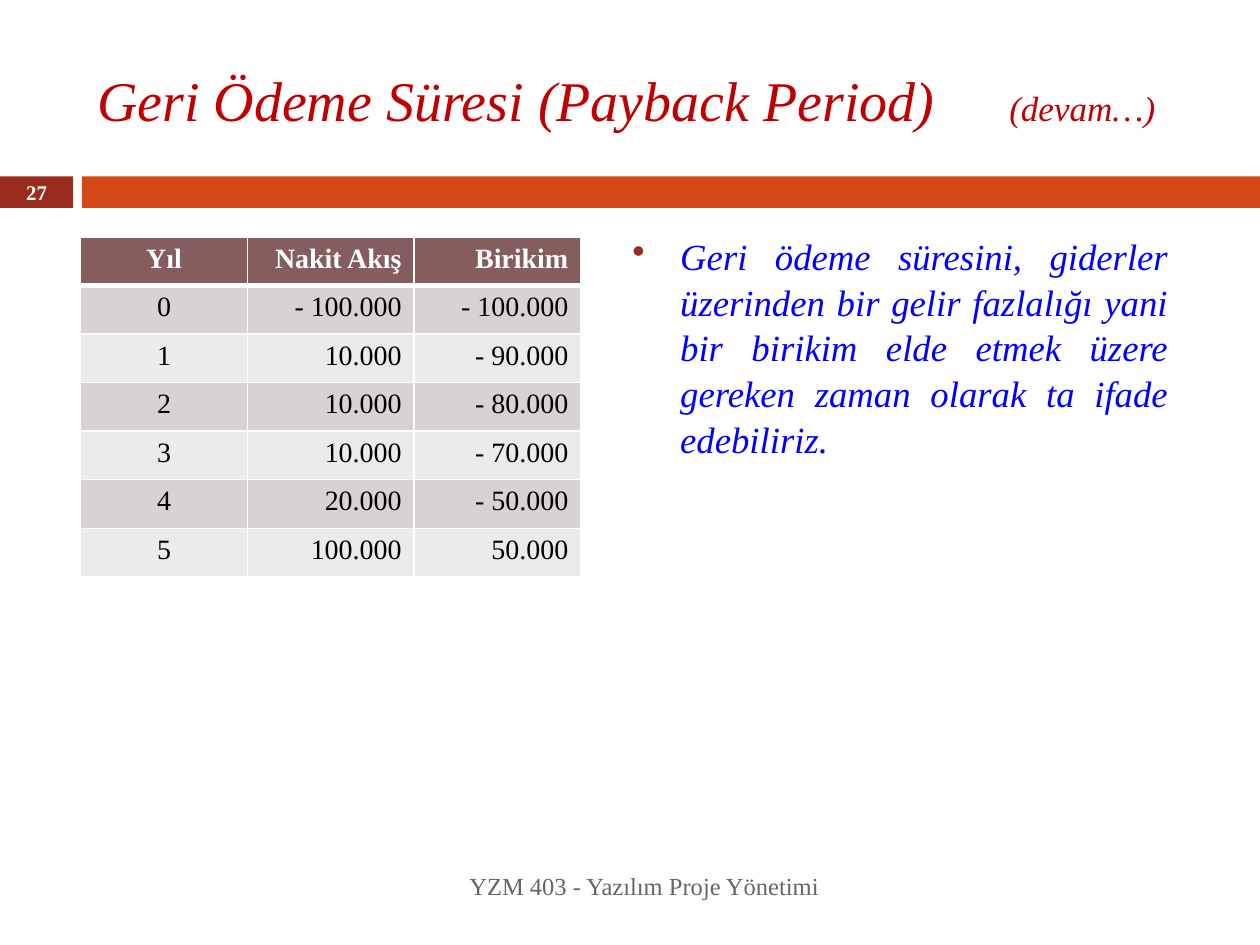
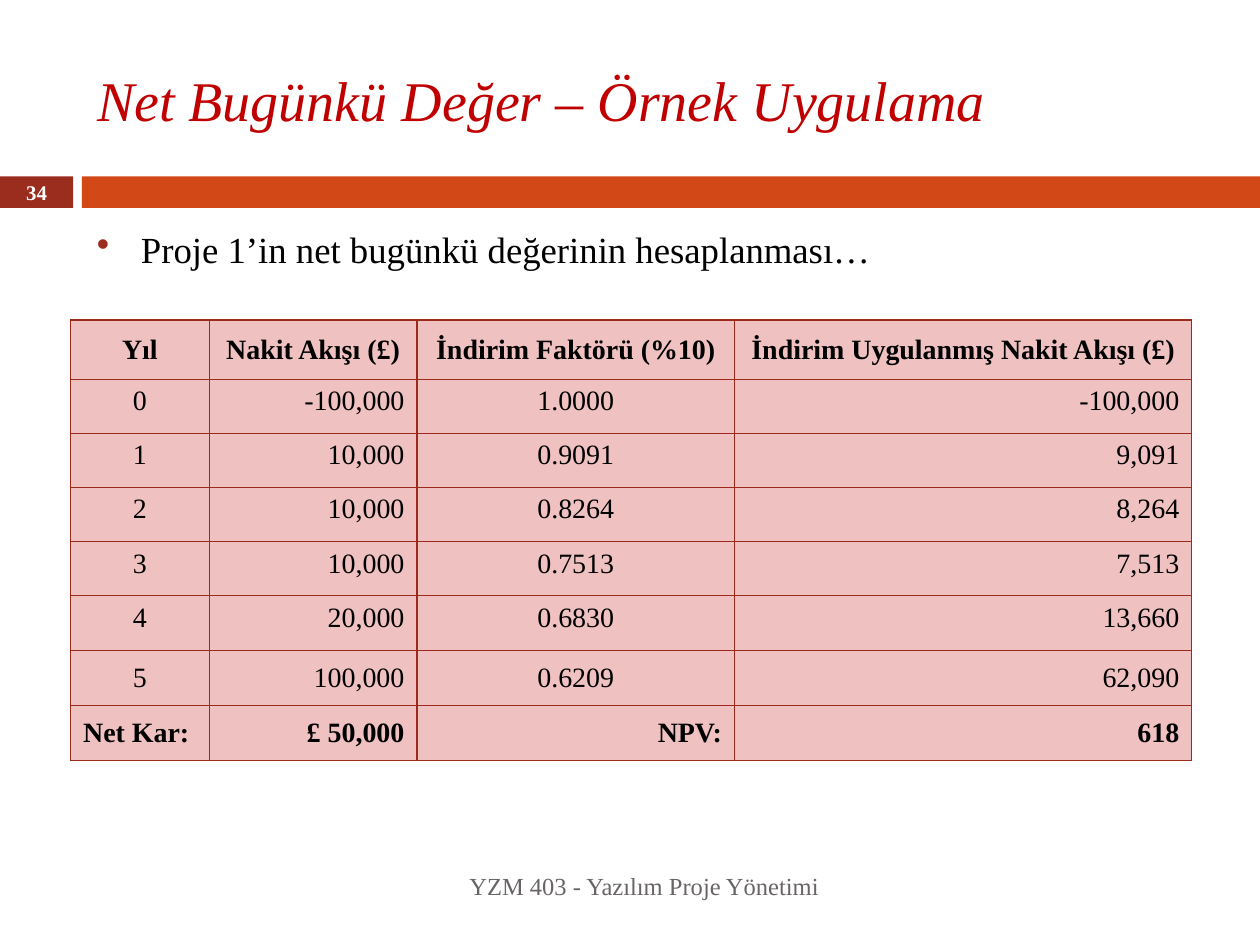
from lxml import etree
from pptx import Presentation
from pptx.dml.color import RGBColor
from pptx.enum.shapes import MSO_SHAPE
from pptx.enum.text import MSO_ANCHOR, PP_ALIGN
from pptx.oxml.ns import qn
from pptx.util import Inches, Pt

LEFT, CENTER, RIGHT, JUSTIFY = PP_ALIGN.LEFT, PP_ALIGN.CENTER, PP_ALIGN.RIGHT, PP_ALIGN.JUSTIFY
TOP, MIDDLE = MSO_ANCHOR.TOP, MSO_ANCHOR.MIDDLE
RECTANGLE = MSO_SHAPE.RECTANGLE
TITLE_ONLY = 5

FONT = "Times New Roman"
COURSE = "YZM 403 - Yazılım Proje Yönetimi"
COLORS = {
    "title": "C00000", "number_band": "9B2D1F", "band": "D34817",
    "footer": "696464", "white": "FFFFFF", "black": "000000", "blue": "0000FF",
    "header": "855D5D", "dark_row": "D9D2D2", "light_row": "EDEAEA",
    "pink": "EFC1C1", "grid": "9B2A1B",
}


class Deck:
    """Holds the presentation style and the slide being built."""

    def __init__(self):
        self.presentation = Presentation()
        self.presentation.slide_width = Inches(10)
        self.presentation.slide_height = Inches(7.5)
        self.slide = None

    def color(self, name):
        return RGBColor.from_string(COLORS[name])

    def style(self, font, size, color, bold=False, italic=False):
        font.name, font.size = FONT, Pt(size)
        font.bold, font.italic = bold, italic
        font.color.rgb = self.color(color)

    def band(self, left, width, color):
        band = self.slide.shapes.add_shape(
            RECTANGLE, Inches(left), Inches(1.4), Inches(width), Inches(0.25))
        band.shadow.inherit = False
        band.fill.solid()
        band.fill.fore_color.rgb = self.color(color)
        band.line.fill.background()

    def text(self, words, box, size, color, align, anchor=MIDDLE, **look):
        frame = self.slide.shapes.add_textbox(*map(Inches, box)).text_frame
        frame.word_wrap = True
        frame.vertical_anchor = anchor
        paragraph = frame.paragraphs[0]
        paragraph.text = words
        paragraph.alignment = align
        self.style(paragraph.font, size, color, **look)
        return paragraph

    def title(self, words, suffix):
        title = self.slide.shapes.title
        title.left, title.top, title.width, title.height = map(Inches, (0.67, 0.25, 8.92, 1.08))
        title.text_frame.vertical_anchor = MIDDLE
        paragraph = title.text_frame.paragraphs[0]
        paragraph.text = words
        paragraph.alignment = LEFT
        self.style(paragraph.font, 32, "title", italic=True)
        if suffix:
            tabs = etree.SubElement(paragraph._p.get_or_add_pPr(), qn("a:tabLst"))
            etree.SubElement(tabs, qn("a:tab"), pos=str(Inches(7.24)), algn="l")
            paragraph._p.pPr.insert(0, tabs)
            continuation = paragraph.add_run()
            continuation.text = "\t" + suffix
            continuation.font.size = Pt(20)

    def start(self, number, words, suffix=""):
        layout = self.presentation.slide_layouts[TITLE_ONLY]
        self.slide = self.presentation.slides.add_slide(layout)
        self.band(0, 0.58, "number_band")
        self.band(0.65, 9.35, "band")
        self.title(words, suffix)
        self.text(COURSE, (0.67, 6.83, 5.93, 0.4), 14, "footer", RIGHT)
        self.text(str(number), (0, 1.39, 0.58, 0.27), 11.9, "white", CENTER, bold=True)

    def bullet(self, words, box, color, indent, spacing=1.0, **look):
        paragraph = self.text(words, box, 21, color, JUSTIFY, TOP, **look)
        paragraph.space_before = Pt(2)
        paragraph.line_spacing = spacing
        properties = paragraph._p.get_or_add_pPr()
        properties.set("marL", str(Inches(indent)))
        properties.set("indent", str(-Inches(indent)))
        marker = etree.Element(qn("a:buClr"))
        etree.SubElement(marker, qn("a:srgbClr"), val=COLORS["number_band"])
        character = etree.Element(qn("a:buChar"), char="•")
        place = list(properties).index(properties.find(qn("a:defRPr")))
        properties.insert(place, marker)
        properties.insert(place + 1, character)

    def border(self, cell, side, color, width):
        line = etree.SubElement(cell._tc.get_or_add_tcPr(), qn(f"a:ln{side}"), w=str(Pt(width)))
        fill = etree.SubElement(line, qn("a:solidFill"))
        etree.SubElement(fill, qn("a:srgbClr"), val=COLORS[color])

    def table(self, rows, corner, widths, heights, aligns, look):
        left, top = map(Inches, corner)
        table = self.slide.shapes.add_table(
            len(rows), len(widths), left, top, Inches(sum(widths)), Inches(sum(heights))).table
        for column, width in zip(table.columns, widths):
            column.width = Inches(width)
        for row, height in zip(table.rows, heights):
            row.height = Inches(height)
        for r, values in enumerate(rows):
            for c, value in enumerate(values):
                cell = table.cell(r, c)
                cell_look = {"align": aligns[c], "anchor": TOP, "color": "black",
                             "bold": False, "widths": {}, **look(r, c)}
                for side in "LRTB":
                    self.border(cell, side, cell_look["line"],
                                cell_look["widths"].get(side, cell_look["width"]))
                cell.fill.solid()
                cell.fill.fore_color.rgb = self.color(cell_look["fill"])
                cell.vertical_anchor = cell_look["anchor"]
                paragraph = cell.text_frame.paragraphs[0]
                paragraph.text = value
                paragraph.alignment = cell_look["align"]
                self.style(paragraph.font, 16, cell_look["color"], bold=cell_look["bold"])


def payback_look(row, column):
    look = {"line": "white", "width": 1}
    if row == 0:
        return {**look, "fill": "header", "color": "white", "bold": True, "widths": {"B": 3}}
    look["fill"] = "dark_row" if row % 2 else "light_row"
    return {**look, "widths": {"T": 3}} if row == 1 else look


def present_value_look(row, column):
    look = {"line": "grid", "width": 0.75, "fill": "pink", "bold": row in (0, 7)}
    if row in (0, 6, 7):
        look["anchor"] = MIDDLE
    if row == 0:
        look["align"] = CENTER
    elif row == 7:
        look["align"] = RIGHT if column else LEFT
    return look


def main():
    deck = Deck()

    deck.start(27, "Geri Ödeme Süresi (Payback Period)", "(devam…)")
    deck.bullet(
        "Geri ödeme süresini, giderler üzerinden bir gelir fazlalığı yani bir birikim "
        "elde etmek üzere gereken zaman olarak ta ifade edebiliriz.",
        (4.92, 1.79, 4.45, 2.94), "blue", 0.38, 1.04, italic=True)
    payback = [
        ("Yıl", "Nakit Akış", "Birikim"),
        ("0", "- 100.000", "- 100.000"),
        ("1", "10.000", "- 90.000"),
        ("2", "10.000", "- 80.000"),
        ("3", "10.000", "- 70.000"),
        ("4", "20.000", "- 50.000"),
        ("5", "100.000", "50.000"),
    ]
    deck.table(payback, (0.64, 1.88), [3.97 / 3] * 3, [2.7 / 7] * 7,
               (CENTER, RIGHT, RIGHT), payback_look)

    deck.start(34, "Net Bugünkü Değer – Örnek Uygulama")
    deck.bullet("Proje 1’in net bugünkü değerinin hesaplanması…",
                (0.67, 1.75, 8.71, 0.82), "black", 0.35)
    present_value = [
        ("Yıl", "Nakit Akışı (£)", "İndirim Faktörü (%10)", "İndirim Uygulanmış Nakit Akışı (£)"),
        ("0", "-100,000", "1.0000", "-100,000"),
        ("1", "10,000", "0.9091", "9,091"),
        ("2", "10,000", "0.8264", "8,264"),
        ("3", "10,000", "0.7513", "7,513"),
        ("4", "20,000", "0.6830", "13,660"),
        ("5", "100,000", "0.6209", "62,090"),
        ("Net Kar:", "£ 50,000", "NPV:", "618"),
    ]
    deck.table(present_value, (0.56, 2.54), (1.1, 1.65, 2.52, 3.63),
               [0.47] + [0.43] * 5 + [0.44] * 2, (CENTER, RIGHT, CENTER, RIGHT),
               present_value_look)

    deck.presentation.save("out.pptx")


if __name__ == "__main__":
    main()
